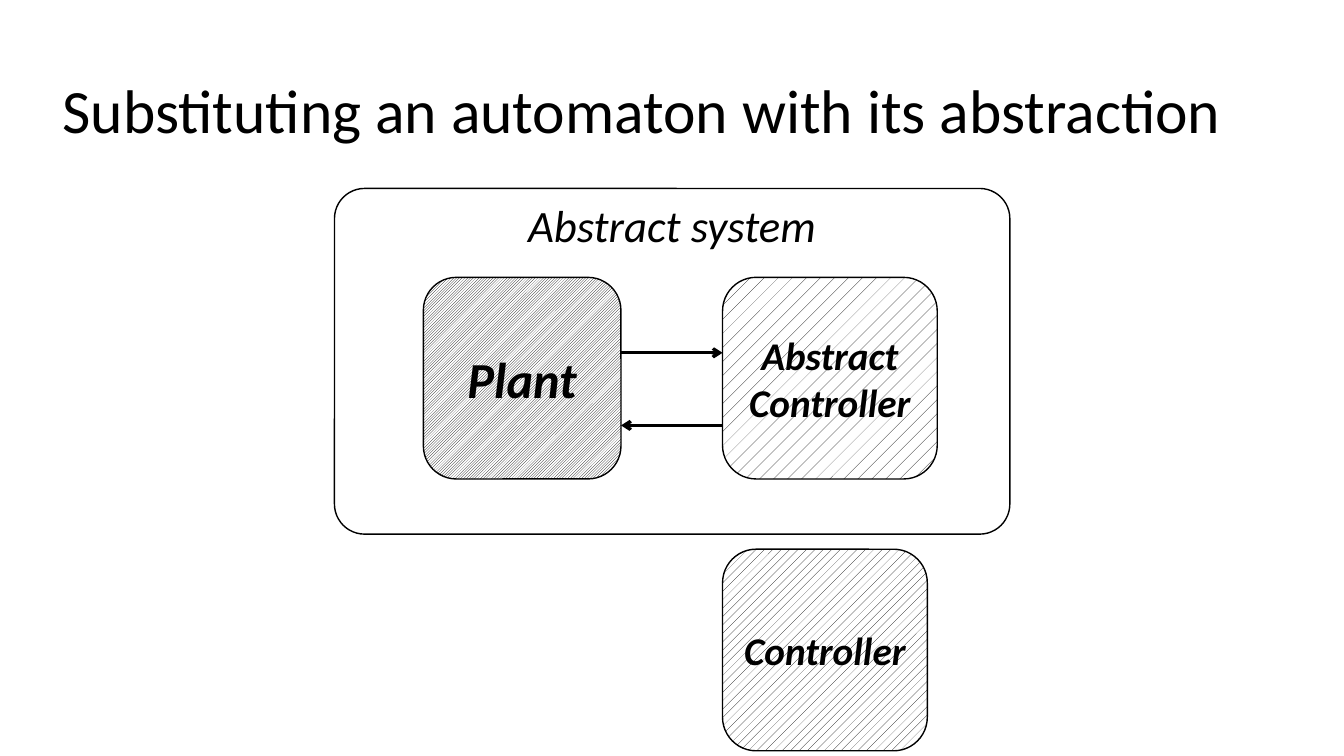
"""Build the slide on substituting an automaton with its abstraction."""
from dataclasses import dataclass
from typing import Any, Optional

from lxml import etree
from pptx import Presentation
from pptx import util as u
from pptx.dml.color import RGBColor
from pptx.enum import dml, shapes, text
from pptx.oxml.ns import qn

BLACK = "000000"
WHITE = "FFFFFF"
BOX_TOP = 6.99
BOX_HEIGHT = 5.08
PLANT_LEFT = 10.67
PLANT_WIDTH = 4.98
CONTROLLER_LEFT = 18.21
PLANT_RIGHT = PLANT_LEFT + PLANT_WIDTH


@dataclass
class Block:
    label: str
    left: float
    top: float
    width: float
    height: float
    size: int
    pattern: Optional[Any] = None
    corner: Optional[float] = None
    bold: bool = True


@dataclass
class Signal:
    start: float
    end: float
    height: float


BLOCKS = [
    Block("Abstract system", 8.43, 4.75, 17.02, 8.71, 32, corner=0.087, bold=False),
    Block("Plant", PLANT_LEFT, BOX_TOP, PLANT_WIDTH, BOX_HEIGHT, 36,
          dml.MSO_PATTERN.LIGHT_UPWARD_DIAGONAL),
    Block("Controller", CONTROLLER_LEFT, 13.84, 5.16, BOX_HEIGHT, 28,
          dml.MSO_PATTERN.PERCENT_20),
    Block("Abstract Controller", CONTROLLER_LEFT, BOX_TOP, 5.41, BOX_HEIGHT, 28,
          dml.MSO_PATTERN.PERCENT_5),
]
SIGNALS = [
    Signal(PLANT_RIGHT, CONTROLLER_LEFT, 8.89),
    Signal(CONTROLLER_LEFT, PLANT_RIGHT, 10.72),
]


def colour(value: str) -> RGBColor:
    return RGBColor.from_string(value)


def set_all(target: Any, values: dict[str, Any]) -> None:
    for name, value in values.items():
        setattr(target, name, value)


def write(frame: Any, words: str, align: Any, values: dict[str, Any]) -> Any:
    para = frame.paragraphs[0]
    para.alignment = align
    span = para.add_run()
    span.text = words
    set_all(span.font, {"name": "Calibri", **values})
    span.font.color.rgb = colour(BLACK)
    return para


def draw_title(page: Any, words: str) -> None:
    title = page.shapes.title
    set_all(title, {"left": u.Cm(1.32), "top": u.Cm(1.02),
                    "width": u.Cm(31.34), "height": u.Cm(3.68)})
    set_all(title.text_frame, {"vertical_anchor": text.MSO_ANCHOR.MIDDLE,
                               "word_wrap": True,
                               "auto_size": text.MSO_AUTO_SIZE.NONE})
    para = write(title.text_frame, words, text.PP_ALIGN.LEFT, {"size": u.Pt(44)})
    para.line_spacing = 0.9


def draw_block(page: Any, block: Block) -> None:
    box = page.shapes.add_shape(
        shapes.MSO_SHAPE.ROUNDED_RECTANGLE,
        u.Cm(block.left), u.Cm(block.top), u.Cm(block.width), u.Cm(block.height))
    box.shadow.inherit = False
    if block.corner is not None:
        box.adjustments[0] = block.corner
    box.line.color.rgb = colour(BLACK)
    box.line.width = u.Pt(1)
    frame = box.text_frame
    frame.word_wrap = True
    if block.pattern is None:
        box.fill.solid()
        box.fill.fore_color.rgb = colour(WHITE)
        set_all(frame, {"vertical_anchor": text.MSO_ANCHOR.TOP, "margin_top": 0})
    else:
        box.fill.patterned()
        box.fill.pattern = block.pattern
        box.fill.fore_color.rgb = colour(BLACK)
        box.fill.back_color.rgb = colour(WHITE)
        frame.vertical_anchor = text.MSO_ANCHOR.MIDDLE
    write(frame, block.label, text.PP_ALIGN.CENTER,
          {"size": u.Pt(block.size), "bold": block.bold, "italic": True})


def draw_signal(page: Any, signal: Signal) -> None:
    arrow = page.shapes.add_connector(
        shapes.MSO_CONNECTOR.STRAIGHT,
        u.Cm(signal.start), u.Cm(signal.height), u.Cm(signal.end), u.Cm(signal.height))
    arrow.line.color.rgb = colour(BLACK)
    arrow.line.width = u.Pt(2.25)
    etree.SubElement(arrow.line._get_or_add_ln(), qn("a:tailEnd"), type="arrow")
    etree.SubElement(arrow._element.spPr, qn("a:effectLst"))


def main() -> None:
    deck = Presentation()
    set_all(deck, {"slide_width": u.Cm(33.87), "slide_height": u.Cm(19.05)})
    page = deck.slides.add_slide(deck.slide_layouts[5])
    draw_title(page, "Substituting an automaton with its abstraction")
    for block in BLOCKS:
        draw_block(page, block)
    for signal in SIGNALS:
        draw_signal(page, signal)
    deck.save("out.pptx")


if __name__ == "__main__":
    main()
